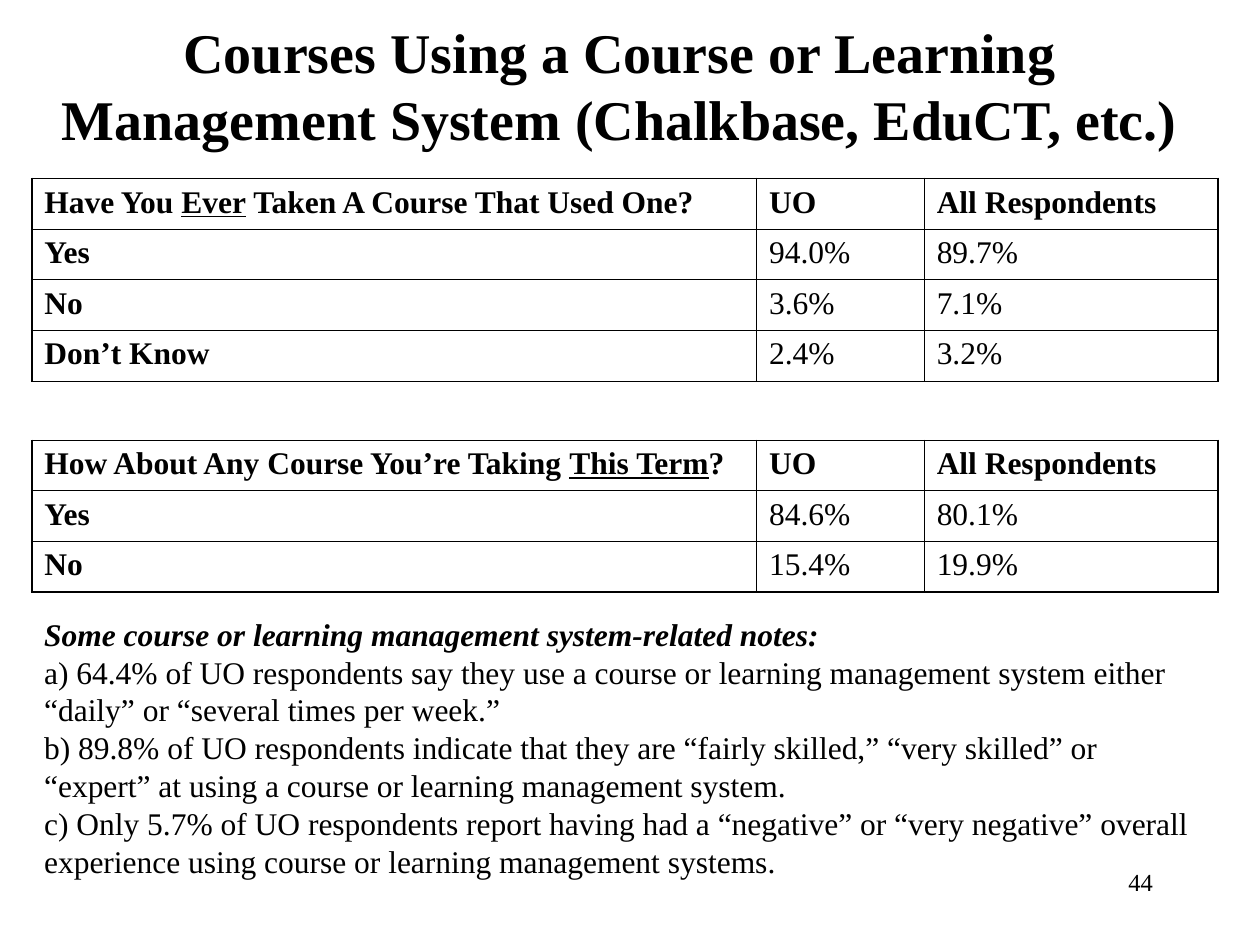
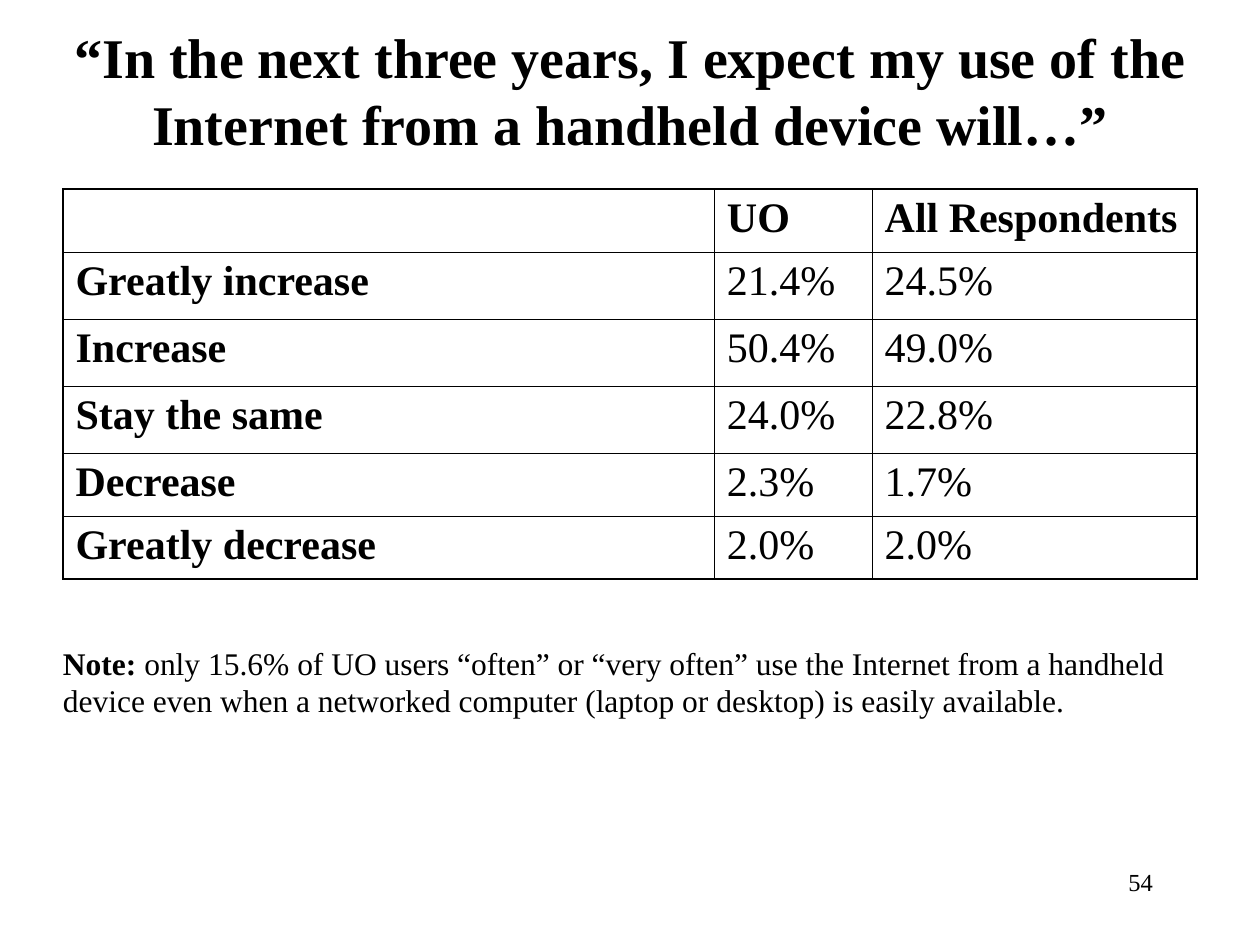
from dataclasses import dataclass
from lxml.etree import SubElement
from pptx import Presentation
from pptx.dml.color import RGBColor
from pptx.enum.text import MSO_ANCHOR, PP_ALIGN
from pptx.oxml.ns import qn
from pptx.util import Cm, Pt


@dataclass(frozen=True)
class Theme:
    face: str = "Times New Roman"
    ink: str = "000000"
    title: int = 32
    large: int = 24
    body: int = 18
    page: int = 14
    thick: float = 1.08
    thin: float = 0.45


BOLD = {"bold": True}
LEAD = {"bold": True, "italic": True}
UNDER = {"bold": True, "underline": True}
FLAGS = ("first_row", "horz_banding")


class Deck:
    def __init__(self, theme):
        self.theme = theme
        self.show = Presentation()
        self.show.slide_width, self.show.slide_height = Cm(25.4), Cm(19.05)
        self.slide = None

    def start(self, title, width, height, page):
        """Add a slide with its title and page number."""
        self.slide = self.show.slides.add_slide(self.show.slide_layouts[6])
        self.text((0.43, 0.43, width, height), [[(title, BOLD)]],
                  self.theme.title, PP_ALIGN.CENTER, MSO_ANCHOR.MIDDLE)
        self.text((18.21, 17.35, 5.28, 1.27), [[(page, {})]],
                  self.theme.page, PP_ALIGN.RIGHT)

    def fill_para(self, para, runs, size):
        for words, style in runs:
            run = para.add_run()
            run.text = words
            form = {"name": self.theme.face, "size": Pt(size), **style}
            for key, value in form.items():
                setattr(run.font, key, value)
            run.font.color.rgb = RGBColor.from_string(self.theme.ink)

    def text(self, box, lines, size, align=PP_ALIGN.LEFT, anchor=MSO_ANCHOR.TOP):
        frame = self.slide.shapes.add_textbox(*map(Cm, box)).text_frame
        frame.word_wrap = True
        frame.vertical_anchor = anchor
        for i, runs in enumerate(lines):
            para = frame.add_paragraph() if i else frame.paragraphs[0]
            para.alignment = align
            self.fill_para(para, runs, size)

    def edge(self, cell, side, width):
        """Draw one cell border, or clear it when width is 0."""
        line = SubElement(cell._tc.get_or_add_tcPr(), qn(f"a:ln{side}"),
                          w=str(int(Pt(width))))
        if width:
            fill = SubElement(line, qn("a:solidFill"))
            SubElement(fill, qn("a:srgbClr"), val=self.theme.ink)
        else:
            SubElement(line, qn("a:noFill"))

    def table(self, left, top, cols, highs, rows, size):
        """Draw a ruled table; an empty row parts two blocks, each with a head."""
        grid = self.slide.shapes.add_table(
            len(rows), len(cols), Cm(left), Cm(top),
            Cm(sum(cols)), Cm(sum(highs))).table
        for flag in FLAGS:
            setattr(grid, flag, False)
        for col, width in zip(grid.columns, cols):
            col.width = Cm(width)
        for r, (row, high) in enumerate(zip(rows, highs)):
            grid.rows[r].height = Cm(high)
            head = r == 0 or not rows[r - 1]
            for c in range(len(cols)):
                cell = grid.cell(r, c)
                if row and row[c]:
                    style = BOLD if head or c == 0 else {}
                    runs = [(row[c], style)] if isinstance(row[c], str) else row[c]
                    self.fill_para(cell.text_frame.paragraphs[0], runs, size)
                outer = {"L": c == 0, "R": c == len(cols) - 1,
                         "T": r == 0, "B": r == len(rows) - 1}
                for side, rim in outer.items():
                    width = self.theme.thick if rim else self.theme.thin
                    self.edge(cell, side, width if row or side in "TB" else 0)
                cell.fill.background()


def courses(deck):
    deck.start("Courses Using a Course or Learning Management System "
               "(Chalkbase, EduCT, etc.)", 24.13, 2.54, "44")
    ever = [("Have You ", BOLD), ("Ever", UNDER),
            (" Taken A Course That Used One?", BOLD)]
    term = [("How About Any Course You’re Taking ", BOLD),
            ("This Term", UNDER), ("?", BOLD)]
    rows = [
        (ever, "UO", "All Respondents"),
        ("Yes", "94.0%", "89.7%"),
        ("No", "3.6%", "7.1%"),
        ("Don’t Know", "2.4%", "3.2%"),
        (),
        (term, "UO", "All Respondents"),
        ("Yes", "84.6%", "80.1%"),
        ("No", "15.4%", "19.9%"),
    ]
    highs = [1.02 if row else 1.19 for row in rows]
    deck.table(0.64, 3.6, (14.61, 3.38, 5.92), highs, rows, deck.theme.body)
    notes = [
        "a) 64.4% of UO respondents say they use a course or learning "
        "management system either “daily” or “several times per week.”",
        "b) 89.8% of UO respondents indicate that they are “fairly skilled,” "
        "“very skilled” or “expert” at using a course or learning management system.",
        "c) Only 5.7% of UO respondents report having had a “negative” or “very "
        "negative” overall experience using course or learning management systems.",
    ]
    lead = ("Some course or learning management system-related notes:", LEAD)
    deck.text((0.64, 12.27, 23.91, 5.59),
              [[lead]] + [[(note, {})] for note in notes], deck.theme.body)


def future(deck):
    deck.start("“In the next three years, I expect my use of the Internet "
               "from a handheld device will…”", 24.56, 2.74, "54")
    rows = [
        ("", "UO", "All Respondents"),
        ("Greatly increase", "21.4%", "24.5%"),
        ("Increase", "50.4%", "49.0%"),
        ("Stay the same", "24.0%", "22.8%"),
        ("Decrease", "2.3%", "1.7%"),
        ("Greatly decrease", "2.0%", "2.0%"),
    ]
    highs = (1.27, 1.35, 1.35, 1.35, 1.27, 1.27)
    deck.table(1.27, 3.81, (13.13, 3.18, 6.55), highs, rows, deck.theme.large)
    note = (" only 15.6% of UO users “often” or “very often” use the Internet from "
            "a handheld device even when a networked computer (laptop or desktop) "
            "is easily available.")
    deck.text((1.02, 12.85, 23.11, 1.78), [[("Note:", BOLD), (note, {})]],
              deck.theme.body)


def main():
    deck = Deck(Theme())
    courses(deck)
    future(deck)
    deck.show.save("out.pptx")


if __name__ == "__main__":
    main()
